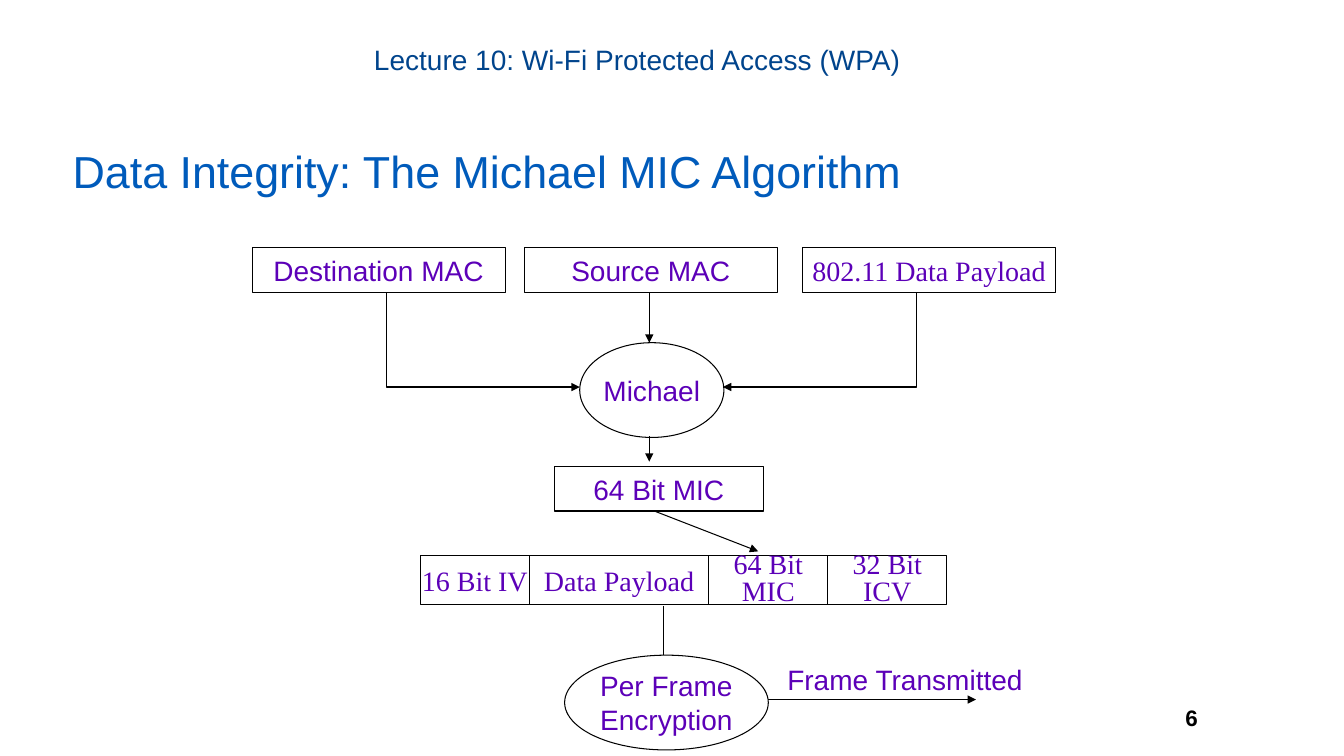
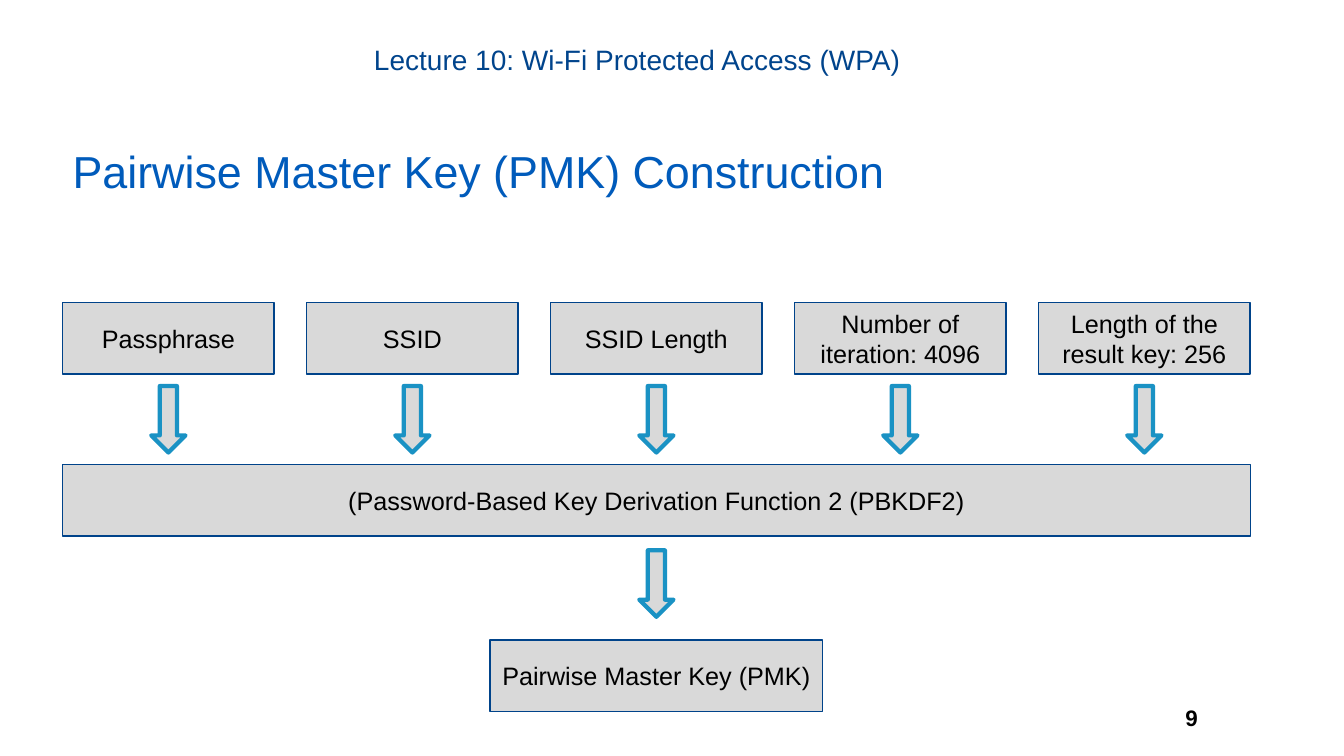
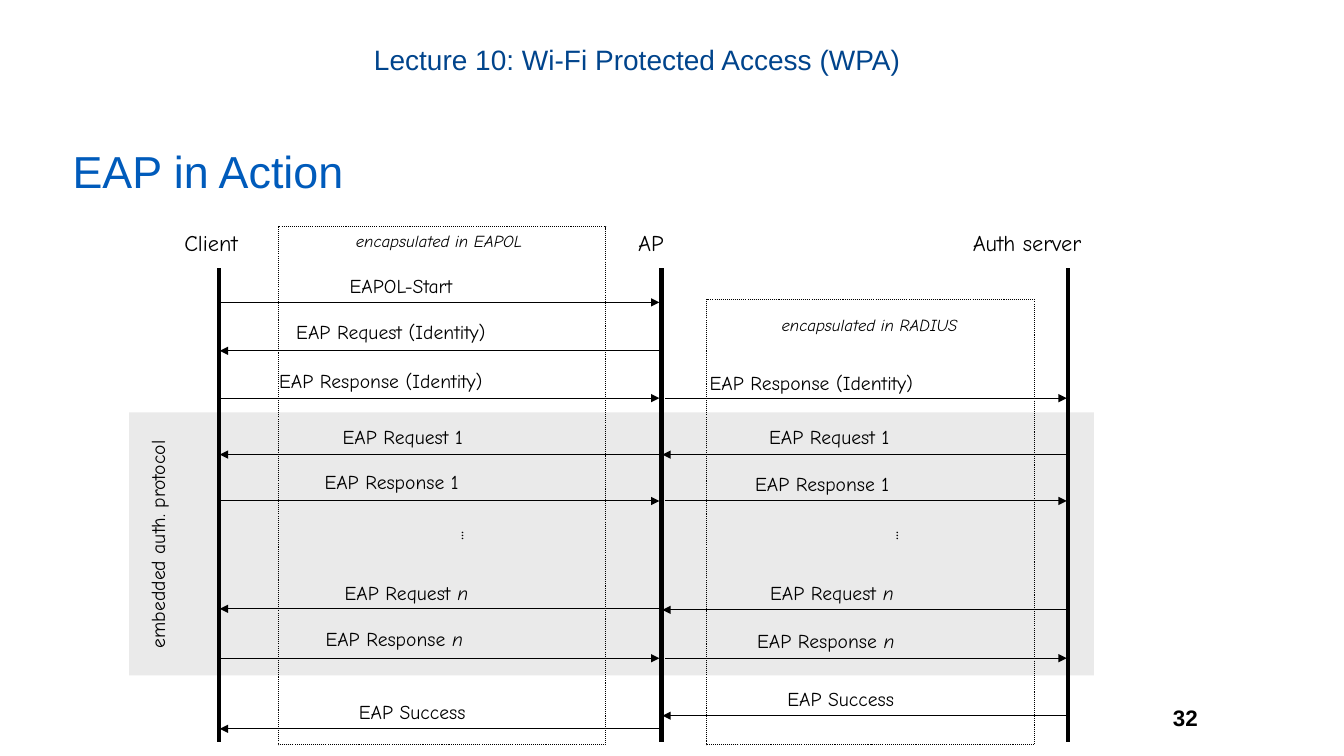
from dataclasses import dataclass

from lxml import etree
from pptx import Presentation
from pptx.dml.color import RGBColor
from pptx.enum.dml import MSO_LINE
from pptx.enum.shapes import MSO_CONNECTOR, MSO_SHAPE
from pptx.enum.text import MSO_ANCHOR, MSO_AUTO_SIZE, PP_ALIGN
from pptx.oxml.ns import qn
from pptx.util import Pt

PX = 9144  # 100 px to the inch
RECT, OVAL, DOWN_ARROW = MSO_SHAPE.RECTANGLE, MSO_SHAPE.OVAL, MSO_SHAPE.DOWN_ARROW
STRAIGHT = MSO_CONNECTOR.STRAIGHT
DOTTED = MSO_LINE.ROUND_DOT
TOP, MIDDLE = MSO_ANCHOR.TOP, MSO_ANCHOR.MIDDLE
LEFT, CENTER, RIGHT = PP_ALIGN.LEFT, PP_ALIGN.CENTER, PP_ALIGN.RIGHT
NO_FIT, GROW = MSO_AUTO_SIZE.NONE, MSO_AUTO_SIZE.SHAPE_TO_FIT_TEXT


@dataclass(frozen=True)
class Theme:
    sans: str = "Arial"
    serif: str = "Times New Roman"
    hand: str = "Comic Neue"
    black: str = "000000"
    header: str = "00448C"
    title: str = "005BBB"
    purple: str = "5C00B8"
    box_fill: str = "D9D9D9"
    box_line: str = "00438A"
    arrow_line: str = "1A92C4"
    band: str = "EAEAEA"
    title_size: int = 32
    large: int = 20
    medium: int = 18
    small: int = 16
    label: int = 14
    note: int = 12
    thin: float = 0.75
    thick: float = 3


THEME = Theme()


def px(*lengths):
    return [length * PX for length in lengths]


def write(frame, text, size, color=THEME.black, font=THEME.sans, align=LEFT, anchor=TOP,
          bold=False, italic=False, italic_end="", spacing=None, wrap=True, fit=NO_FIT,
          insets=(10, 5, 10, 5)):
    """Fill a text frame, one paragraph per line; italic_end is a closing italic run."""
    frame.word_wrap = wrap
    frame.auto_size = fit
    frame.vertical_anchor = anchor
    (frame.margin_left, frame.margin_top,
     frame.margin_right, frame.margin_bottom) = px(*insets)
    for number, line in enumerate(text.split("\n")):
        paragraph = frame.add_paragraph() if number else frame.paragraphs[0]
        paragraph.alignment = align
        if spacing:
            paragraph.line_spacing = spacing
        for words, slanted in ((line, italic), (italic_end, True)):
            if words:
                run = paragraph.add_run()
                run.text = words
                run.font.size = Pt(size)
                run.font.name = font
                run.font.bold = bold
                run.font.italic = slanted
                run.font.color.rgb = RGBColor.from_string(color)


class Deck:
    def __init__(self):
        self.file = Presentation()
        self.file.slide_width, self.file.slide_height = px(1333, 750)
        self.slide = None

    def new_slide(self, title, number):
        self.slide = self.file.slides.add_slide(self.file.slide_layouts[5])
        heading = self.slide.shapes.title
        heading.left, heading.top, heading.width, heading.height = px(62, 144, 1150, 95)
        write(heading.text_frame, title, THEME.title_size, THEME.title, spacing=0.9)
        self.text("Lecture 10: Wi-Fi Protected Access (WPA)", 274, 37, 726, 37,
                  size=THEME.large, color=THEME.header, align=CENTER, insets=(0, 5, 10, 5))
        self.text(str(number), 1122, 683, 79, 58, size=THEME.small, bold=True,
                  align=RIGHT, anchor=MIDDLE, insets=(13, 7, 13, 7))

    def text(self, text, left, top, width, height, rotation=0, **style):
        box = self.slide.shapes.add_textbox(*px(left, top, width, height))
        box.rotation = rotation
        write(box.text_frame, text, **style)

    def label(self, text, left, top, width, height=34, size=THEME.label, **style):
        self.text(text, left, top, width, height, size=size, font=THEME.hand,
                  wrap=False, fit=GROW, **style)

    def shape(self, kind, left, top, width, height, fill=None, line=None,
              weight=THEME.thin, dash=None, text="", **style):
        shape = self.slide.shapes.add_shape(kind, *px(left, top, width, height))
        self.paint(shape, fill, line, weight)
        if dash:
            shape.line.dash_style = dash
        if text:
            write(shape.text_frame, text, align=CENTER, anchor=MIDDLE, **style)

    def paint(self, shape, fill, line, weight):
        shape.shadow.inherit = False
        if fill:
            shape.fill.solid()
            shape.fill.fore_color.rgb = RGBColor.from_string(fill)
        else:
            shape.fill.background()
        if line:
            self.stroke(shape, line, weight)
        else:
            shape.line.fill.background()

    def stroke(self, shape, color, weight):
        shape.line.color.rgb = RGBColor.from_string(color)
        shape.line.width = Pt(weight)

    def line(self, start, end, weight=THEME.thin, arrow=True):
        connector = self.slide.shapes.add_connector(STRAIGHT, *px(*start, *end))
        self.stroke(connector, THEME.black, weight)
        etree.SubElement(connector.element.spPr, qn("a:effectLst"))
        if arrow:
            self.arrowhead(connector)

    def bent_arrow(self, start, *points):
        builder = self.slide.shapes.build_freeform(*start, scale=PX)
        builder.add_line_segments(points, close=False)
        outline = builder.convert_to_shape()
        self.paint(outline, None, THEME.black, THEME.thin)
        self.arrowhead(outline)

    def arrowhead(self, shape):
        outline = shape.element.spPr.find(qn("a:ln"))
        etree.SubElement(outline, qn("a:tailEnd"), type="triangle")


def michael_slide(deck):
    deck.new_slide("Data Integrity: The Michael MIC Algorithm", 6)

    def node(text, left, top, width, height, kind=RECT, font=THEME.sans, spacing=None):
        deck.shape(kind, left, top, width, height, line=THEME.black, text=text,
                   size=THEME.large, color=THEME.purple, font=font, spacing=spacing,
                   wrap=False)

    for text, left, font in (("Destination MAC", 250, THEME.sans),
                             ("Source MAC", 520, THEME.sans),
                             ("802.11 Data Payload", 796, THEME.serif)):
        node(text, left, 246, 251, 44, font=font)
    node("Michael", 575, 340, 143, 94, OVAL)
    node("64 Bit MIC", 550, 463, 207, 44)
    left = 417
    for text, width, spacing in (("16 Bit IV", 108, None), ("Data Payload", 178, None),
                                 ("64 Bit\nMIC", 118, 0.8), ("32 Bit\nICV", 118, 0.8)):
        node(text, left, 551, width, 49, font=THEME.serif, spacing=spacing)
        left += width
    node("Per Frame\nEncryption", 560, 650, 202, 94, OVAL)

    deck.bent_arrow((383, 291), (383, 384), (575, 384))
    deck.bent_arrow((909, 291), (909, 384), (717, 384))
    for start, end in (((644, 291), (644, 340)), ((644, 433), (644, 458)),
                       ((649, 507), (752, 547)), ((762, 694), (968, 694))):
        deck.line(start, end)
    deck.line((658, 601), (658, 650), arrow=False)
    deck.text("Frame Transmitted", 771, 652, 255, 43, size=THEME.large,
              color=THEME.purple, wrap=False, fit=GROW)


def pmk_slide(deck):
    deck.new_slide("Pairwise Master Key (PMK) Construction", 9)
    first, pitch, input_width = 62, 242, 210
    inputs = ("Passphrase", "SSID", "SSID Length", "Number of iteration: 4096",
              "Length of the result key: 256")
    total = pitch * (len(inputs) - 1) + input_width
    middle = first + total // 2

    def box(text, left, top, width):
        deck.shape(RECT, left, top, width, 71, THEME.box_fill, THEME.box_line, 1,
                   text=text, size=THEME.medium)

    def down_arrow(center, top):
        deck.shape(DOWN_ARROW, center - 17, top, 34, 66, THEME.box_fill,
                   THEME.arrow_line, THEME.thick)

    for index, text in enumerate(inputs):
        left = first + index * pitch
        box(text, left, 300, input_width)
        down_arrow(left + input_width // 2, 383)
    box("(Password-Based Key Derivation Function 2 (PBKDF2)", first, 461, total)
    down_arrow(middle, 546)
    box("Pairwise Master Key (PMK)", middle - 165, 635, 330)


def eap_slide(deck):
    deck.new_slide("EAP in Action", 32)
    client, access_point, server = 217, 656, 1059
    deck.shape(RECT, 128, 409, 957, 261, fill=THEME.band)
    for name, lifeline, left, width in (("Client", client, 173, 80),
                                        ("AP", access_point, 623, 65),
                                        ("Auth server", server, 955, 146)):
        deck.line((lifeline, 266), (lifeline, 736), THEME.thick, arrow=False)
        deck.label(name, left, 222, width, 37, THEME.small)

    label_widths = {"EAPOL-Start": 194, "EAP Request (Identity)": 316,
                    "EAP Response (Identity)": 331, "EAP Request 1": 203,
                    "EAP Response 1": 218, "EAP Request ": 205, "EAP Response ": 221,
                    "EAP Success": 185}
    to_ap, to_client = (client + 1, access_point - 2), (access_point - 2, client + 1)
    to_server, from_server = (access_point + 4, server - 1), (server - 1, access_point + 1)
    messages = (
        ("EAPOL-Start", 337, 267, 300, to_ap),
        ("EAP Request (Identity)", 284, 312, 348, to_client),
        ("EAP Response (Identity)", 267, 361, 395, to_ap),
        ("EAP Response (Identity)", 694, 363, 395, to_server),
        ("EAP Request 1", 330, 417, 451, to_client),
        ("EAP Request 1", 753, 417, 451, from_server),
        ("EAP Response 1", 312, 461, 497, to_ap),
        ("EAP Response 1", 739, 463, 497, to_server),
        ("EAP Request ", 332, 571, 604, to_client),
        ("EAP Request ", 754, 571, 605, from_server),
        ("EAP Response ", 313, 617, 653, to_ap),
        ("EAP Response ", 741, 619, 653, to_server),
        ("EAP Success", 346, 689, 723, to_client),
        ("EAP Success", 771, 677, 710, from_server),
    )
    for text, left, top, level, (start, end) in messages:
        deck.line((start, level), (end, level))
        deck.label(text, left, top, label_widths[text],
                   italic_end="n" if text.endswith(" ") else "")

    for left in (442, 873):
        deck.label("...", left, 512, 35, 46, rotation=90)
    deck.label("embedded auth. protocol", 39, 517, 247, 46, rotation=270, align=CENTER)
    for protocol, left, top, note_left, note_top, note_width in (
            ("EAPOL", 276, 225, 296, 224, 279), ("RADIUS", 701, 297, 718, 307, 289)):
        deck.label(f"encapsulated in {protocol}", note_left, note_top, note_width, 31,
                   THEME.note, italic=True, align=CENTER)
        deck.shape(RECT, left, top, 325, 739 - top, line=THEME.black, dash=DOTTED)


def main():
    deck = Deck()
    for build in (michael_slide, pmk_slide, eap_slide):
        build(deck)
    deck.file.save("out.pptx")


if __name__ == "__main__":
    main()
